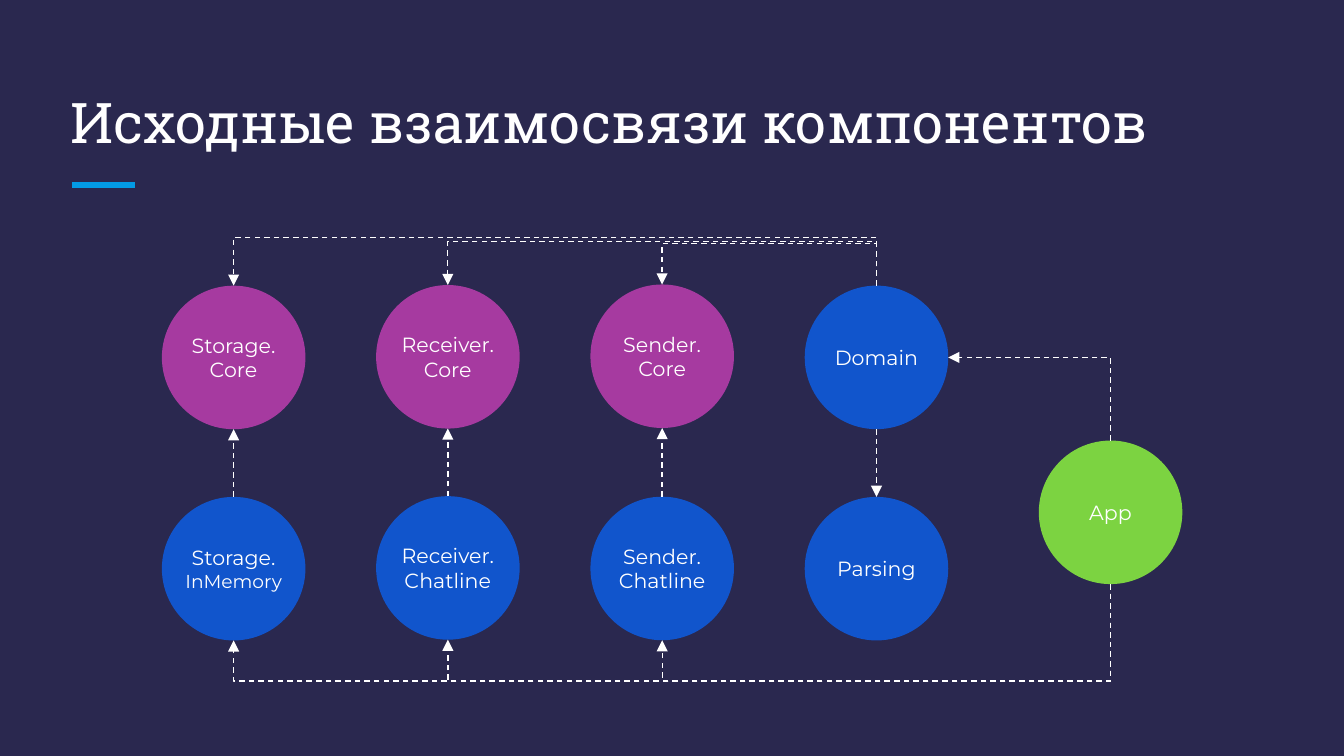
from dataclasses import dataclass

from lxml import etree
from pptx import Presentation
from pptx import util as u
from pptx.dml.color import RGBColor
from pptx.enum import dml, shapes, text
from pptx.oxml.ns import qn

Pt = u.Pt


@dataclass(frozen=True)
class Theme:
    background: str = "2A284F"
    ink: str = "FFFFFF"
    accent: str = "039BE5"
    core: str = "A63AA0"
    module: str = "1155CC"
    app: str = "7CD341"
    title_font: str = "Roboto Slab"
    label_font: str = "Montserrat"
    title_size: float = 30
    label_size: float = 11
    small_size: float = 10
    arrow_width: float = 0.75
    accent_width: float = 3


DIAMETER = 76.9
TOP, BOTTOM, LEFT, RIGHT = "top", "bottom", "left", "right"
SITES = {TOP: 0, LEFT: 2, BOTTOM: 4, RIGHT: 6}  # connection sites of an ellipse


class SlideBuilder:
    def __init__(self, page, theme):
        self.page, self.theme = page, theme
        page.background.fill.solid()
        page.background.fill.fore_color.rgb = RGBColor.from_string(theme.background)

    def add_span(self, para, words, font, size):
        span = para.add_run()
        span.text = words
        span.font.name, span.font.size = font, Pt(size)
        span.font.color.rgb = RGBColor.from_string(self.theme.ink)

    def title(self, words, left, top, width, height):
        box = self.page.shapes.title
        box.left, box.top, box.width, box.height = map(Pt, (left, top, width, height))
        frame = box.text_frame
        frame.word_wrap, frame.auto_size = True, text.MSO_AUTO_SIZE.NONE
        frame.vertical_anchor = text.MSO_ANCHOR.BOTTOM
        frame.margin_left = frame.margin_right = Pt(7.2)
        frame.margin_top = frame.margin_bottom = Pt(7.2)
        para = frame.paragraphs[0]
        para.alignment, para.line_spacing = text.PP_ALIGN.LEFT, 1.0
        self.add_span(para, words, self.theme.title_font, self.theme.title_size)

    def circle(self, lines, left, top, fill):
        """Each line is a pair of words and type size."""
        box = self.page.shapes.add_shape(
            shapes.MSO_SHAPE.OVAL, Pt(left), Pt(top), Pt(DIAMETER), Pt(DIAMETER))
        box.shadow.inherit = False
        box.fill.solid()
        box.fill.fore_color.rgb = RGBColor.from_string(fill)
        box.line.fill.background()
        frame = box.text_frame
        frame.word_wrap, frame.vertical_anchor = True, text.MSO_ANCHOR.MIDDLE
        frame.margin_left = frame.margin_right = frame.margin_top = frame.margin_bottom = 0
        para = frame.paragraphs[0]
        para.alignment = text.PP_ALIGN.CENTER
        for index, (words, size) in enumerate(lines):
            if index:
                para.add_line_break()
            self.add_span(para, words, self.theme.label_font, size)
        return box

    def line(self, kind, start, end, color, width):
        connector = self.page.shapes.add_connector(kind, *map(u.Emu, (*start, *end)))
        connector.line.color.rgb = RGBColor.from_string(color)
        connector.line.width = Pt(width)
        etree.SubElement(connector._element.spPr, qn("a:effectLst"))
        return connector

    def arrow(self, source, target, leave, enter, kind=shapes.MSO_CONNECTOR.STRAIGHT,
              start=None, end=None):
        """Dashed arrow attached to one side of each circle."""
        connector = self.line(kind, start or side_point(source, leave),
                              end or side_point(target, enter),
                              self.theme.ink, self.theme.arrow_width)
        connector.line.dash_style = dml.MSO_LINE.DASH
        outline = connector.line._get_or_add_ln()
        etree.SubElement(outline, qn("a:tailEnd"), type="triangle")
        links = connector._element.find(".//" + qn("p:cNvCxnSpPr"))
        for tag, box, side in (("a:stCxn", source, leave), ("a:endCxn", target, enter)):
            etree.SubElement(links, qn(tag), id=str(box.shape_id), idx=str(SITES[side]))
        return connector

    def elbow(self, source, target, leave, enter, bend_y=None):
        """Arrow that leaves vertically and runs left; bend_y is its level run."""
        x1, y1 = side_point(source, leave)
        x2, y2 = side_point(target, enter)
        # The frame is described before its quarter turn, so its sides swap.
        across, along = abs(y2 - y1), abs(x2 - x1)
        left, top = (x1 + x2 - across) // 2, (y1 + y2 - along) // 2
        connector = self.arrow(source, target, leave, enter, shapes.MSO_CONNECTOR.ELBOW,
                               (left, top), (left + across, top + along))
        frame = connector._element.find(".//" + qn("a:xfrm"))
        frame.set("rot", "5400000")
        if y2 < y1:
            frame.set("flipH", "1")
        geometry = connector._element.find(".//" + qn("a:prstGeom"))
        if bend_y is None:
            geometry.set("prst", "bentConnector2")
        else:
            share = round((Pt(bend_y) - y1) / (y2 - y1) * 100000)
            etree.SubElement(geometry.find(qn("a:avLst")), qn("a:gd"),
                             name="adj1", fmla=f"val {share}")


def side_point(box, side):
    x = {LEFT: 0, RIGHT: box.width}.get(side, box.width // 2)
    y = {TOP: 0, BOTTOM: box.height}.get(side, box.height // 2)
    return box.left + x, box.top + y


def main():
    theme = Theme()
    deck = Presentation()
    deck.slide_width, deck.slide_height = Pt(720), Pt(405)
    page = deck.slides.add_slide(deck.slide_layouts[5])
    builder = SlideBuilder(page, theme)

    # Heading
    builder.line(shapes.MSO_CONNECTOR.STRAIGHT, (Pt(38.6), Pt(99)), (Pt(72.3), Pt(99)),
                 theme.accent, theme.accent_width)
    builder.title("Исходные взаимосвязи компонентов", 30.4, 36, 658.8, 54)

    # Components: name, upper label, lower label, lower size, tops and upper fill
    normal = theme.label_size
    columns = [
        ("storage", "Core", "InMemory", theme.small_size, 153.05, 266.2),
        ("receiver", "Core", "Chatline", normal, 152.7, 265.8),
        ("sender", "Core", "Chatline", normal, 152.4, 266.1),
    ]
    first_left, step = 86.7, 114.8
    cores, modules = [], []
    for index, (name, upper, lower, size, upper_top, lower_top) in enumerate(columns):
        left = first_left + index * step
        heading = (f"{name.capitalize()}.", normal)
        cores.append(builder.circle([heading, (upper, normal)], left, upper_top, theme.core))
        modules.append(builder.circle([heading, (lower, size)], left, lower_top, theme.module))
    last_left = first_left + len(columns) * step
    domain = builder.circle([("Domain", normal)], last_left, 153, theme.module)
    parsing = builder.circle([("Parsing", normal)], last_left, 266.2, theme.module)
    app = builder.circle([("App", normal)], 556.5, 236, theme.app)

    # Dependencies
    for core, module in zip(cores, modules):
        builder.arrow(module, core, TOP, BOTTOM)
        builder.elbow(domain, core, TOP, TOP, bend_y=130.3)
        builder.elbow(app, module, BOTTOM, BOTTOM, bend_y=364.9)
    builder.arrow(domain, parsing, BOTTOM, TOP)
    builder.elbow(app, domain, TOP, RIGHT)

    deck.save("out.pptx")


if __name__ == "__main__":
    main()
